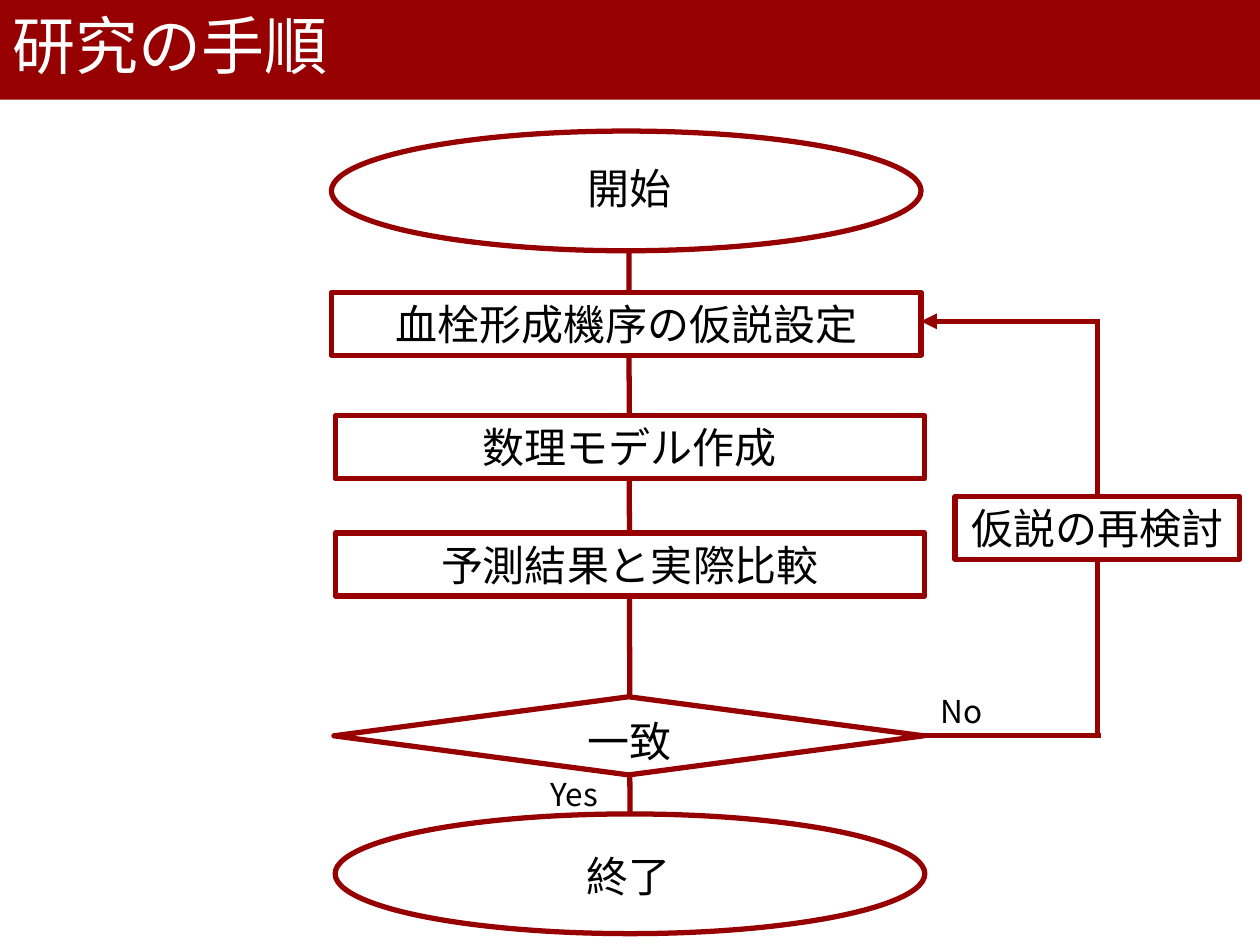
"""Build a flowchart slide of a research procedure with a feedback loop."""
from dataclasses import dataclass

from lxml import etree
from pptx import Presentation
from pptx.dml.color import RGBColor
from pptx.enum.shapes import MSO_CONNECTOR, MSO_SHAPE
from pptx.enum.text import MSO_ANCHOR, MSO_AUTO_SIZE, PP_ALIGN
from pptx.oxml.ns import qn
from pptx.util import Inches, Pt

RECTANGLE, ELLIPSE, DIAMOND = MSO_SHAPE.RECTANGLE, MSO_SHAPE.OVAL, MSO_SHAPE.DIAMOND
LEFT, CENTER = PP_ALIGN.LEFT, PP_ALIGN.CENTER
TITLE_ONLY = 5


@dataclass(frozen=True)
class Theme:
    font: str = "Noto Sans CJK JP"
    accent: RGBColor = RGBColor(0x96, 0x00, 0x00)
    paper: RGBColor = RGBColor(0xFF, 0xFF, 0xFF)
    ink: RGBColor = RGBColor(0x00, 0x00, 0x00)
    title_size: int = 36
    step_size: int = 24
    branch_size: int = 18
    stroke: int = 3


THEME = Theme()
COLUMNS, ROWS = 100, 75
CELL = Inches(0.1)
STEP_WIDTH, STEP_HEIGHT, OVAL_HEIGHT = 46.8, 5, 9.5
FIRST_LEFT, STEP_LEFT = 26.3, 26.6
LOOP_COLUMN, LOOP_TOP, LOOP_BOTTOM = 87.1, 25.5, 58.4

TITLE = "研究の手順"
STEPS = [
    ("血栓形成機序の仮説設定", FIRST_LEFT, 23.2, STEP_WIDTH),
    ("数理モデル作成", STEP_LEFT, 33, STEP_WIDTH),
    ("予測結果と実際比較", STEP_LEFT, 42.3, STEP_WIDTH),
    ("仮説の再検討", 75.8, 39.4, 22.6),
]
OUTLINES = [
    (ELLIPSE, FIRST_LEFT, 10.4, OVAL_HEIGHT),
    (DIAMOND, 26.5, 55.3, 6.2),
    (ELLIPSE, STEP_LEFT, 64.6, OVAL_HEIGHT),
]
LABELS = [
    ("開始", STEP_LEFT, 12.4, STEP_WIDTH),
    ("一致", 42, 56.3, 16),
    ("終了", 26.5, 67, STEP_WIDTH),
]
BRANCHES = [("No", 73.7, 54.4, 5.4), ("Yes", 42.7, 61, 6.2)]
LINES = [
    (49.9, 12.2, 50, 67.6, False),
    (LOOP_COLUMN, LOOP_TOP, 73.1, LOOP_TOP, True),
    (LOOP_COLUMN, 25.3, LOOP_COLUMN, LOOP_BOTTOM, False),
    (73.2, LOOP_BOTTOM, 87.4, LOOP_BOTTOM, False),
]


def cells(*counts):
    return [round(count * CELL) for count in counts]


def write(shape, text, size, color, alignment=CENTER, wrap=True):
    frame = shape.text_frame
    frame.text = text
    frame.word_wrap = wrap
    frame.auto_size = MSO_AUTO_SIZE.SHAPE_TO_FIT_TEXT
    frame.vertical_anchor = MSO_ANCHOR.TOP
    paragraph = frame.paragraphs[0]
    paragraph.alignment = alignment
    font = paragraph.font
    font.name, font.size, font.color.rgb = THEME.font, Pt(size), color
    properties = paragraph._p.pPr.find(qn("a:defRPr"))
    etree.SubElement(properties, qn("a:ea"), typeface=THEME.font)


def add_outline(slide, kind, left, top, width, height, fill=THEME.paper):
    shape = slide.shapes.add_shape(kind, *cells(left, top, width, height))
    shape.shadow.inherit = False
    shape.fill.solid()
    shape.fill.fore_color.rgb = fill
    shape.line.color.rgb = THEME.accent
    shape.line.width = Pt(THEME.stroke)
    return shape


def add_line(slide, start_x, start_y, end_x, end_y, arrow):
    connector = slide.shapes.add_connector(
        MSO_CONNECTOR.STRAIGHT, *cells(start_x, start_y, end_x, end_y))
    connector.line.color.rgb = THEME.accent
    connector.line.width = Pt(THEME.stroke)
    if arrow:
        etree.SubElement(connector.line._get_or_add_ln(), qn("a:tailEnd"), type="triangle")
    etree.SubElement(connector._element.spPr, qn("a:effectLst"))


def add_label(slide, text, left, top, width, height, size, alignment, wrap):
    box = slide.shapes.add_textbox(*cells(left, top, width, height))
    write(box, text, size, THEME.ink, alignment, wrap)


def add_title(slide):
    band = add_outline(slide, RECTANGLE, 0, 0, COLUMNS, 7.9, THEME.accent)
    band.line.fill.background()
    title = slide.shapes.title
    title.left, title.top, title.width, title.height = cells(0, 0, 45.6, 7.1)
    write(title, TITLE, THEME.title_size, THEME.paper, LEFT)
    band._element.addnext(title._element)


def main():
    presentation = Presentation()
    presentation.slide_width, presentation.slide_height = cells(COLUMNS, ROWS)
    slide = presentation.slides.add_slide(presentation.slide_layouts[TITLE_ONLY])
    add_title(slide)
    for line in LINES:
        add_line(slide, *line)
    for text, left, top, width in STEPS:
        step = add_outline(slide, RECTANGLE, left, top, width, STEP_HEIGHT)
        write(step, text, THEME.step_size, THEME.ink)
    for kind, left, top, height in OUTLINES:
        add_outline(slide, kind, left, top, STEP_WIDTH, height)
    for label in LABELS:
        add_label(slide, *label, STEP_HEIGHT, THEME.step_size, CENTER, True)
    for branch in BRANCHES:
        add_label(slide, *branch, 4, THEME.branch_size, LEFT, False)
    presentation.save("out.pptx")


if __name__ == "__main__":
    main()
